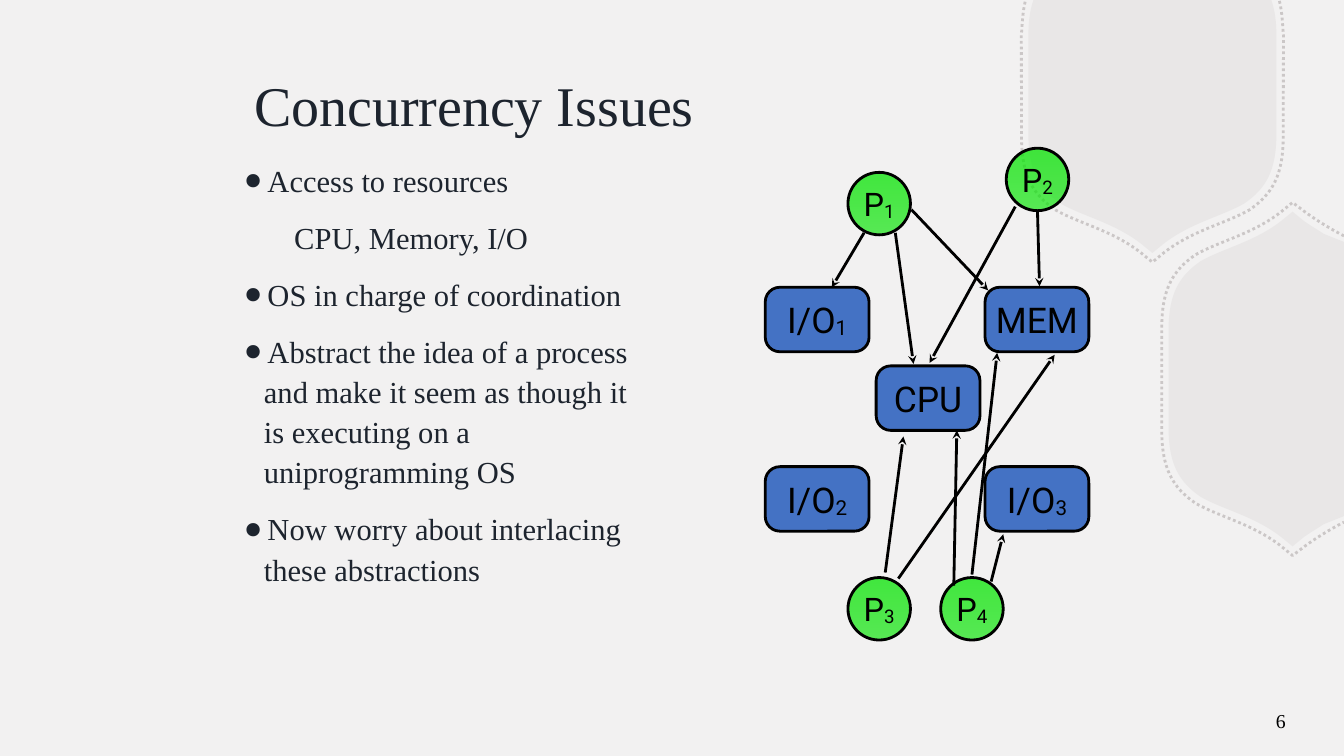
from typing import NamedTuple

from lxml.etree import SubElement
from pptx import Presentation
from pptx.dml.color import RGBColor
from pptx.enum.dml import MSO_LINE
from pptx.enum.shapes import MSO_CONNECTOR, MSO_SHAPE
from pptx.enum.text import MSO_ANCHOR, MSO_AUTO_SIZE, PP_ALIGN
from pptx.oxml.ns import qn
from pptx.util import Cm, Pt

PAPER = RGBColor(0xF2, 0xF1, 0xF1)
INK = RGBColor(0x1D, 0x24, 0x2E)
BLACK = RGBColor(0, 0, 0)
BLUE = RGBColor(0x44, 0x72, 0xC4)
GREEN = RGBColor(0x05, 0xE5, 0x00)
HONEY = RGBColor(0xB8, 0xB2, 0xB2)
SERIF, SANS = "Times New Roman", "Roboto"


class NodeStyle(NamedTuple):
    shape: MSO_SHAPE
    width: float
    height: float
    size: float


class Node(NamedTuple):
    style: NodeStyle
    name: str
    index: str
    left: float
    top: float


class Bullet(NamedTuple):
    text: str
    marked: bool = True


class Knot(NamedTuple):
    """Outline point, relative to a hexagon's centre."""
    x: float
    y: float
    control: bool = False


RESOURCE = NodeStyle(MSO_SHAPE.ROUNDED_RECTANGLE, 1.03, 0.64, 25.3)
PROCESS = NodeStyle(MSO_SHAPE.OVAL, 0.62, 0.62, 23.2)
NODES = [
    Node(RESOURCE, "CPU", "", 8.69, 3.63),
    Node(RESOURCE, "MEM", "", 9.77, 2.85),
    Node(RESOURCE, "I/O", "2", 7.59, 4.63),
    Node(RESOURCE, "I/O", "3", 9.77, 4.63),
    Node(RESOURCE, "I/O", "1", 7.59, 2.85),
    Node(PROCESS, "P", "1", 8.41, 1.71),
    Node(PROCESS, "P", "2", 9.98, 1.47),
    Node(PROCESS, "P", "3", 8.41, 5.73),
    Node(PROCESS, "P", "4", 9.33, 5.73),
]
# Tip x, tip y, tail x, tail y
ARROWS = [
    (8.25, 2.85, 8.57, 2.31), (9.06, 3.61, 8.88, 2.31),
    (9.8, 2.88, 9.04, 2.08), (9.22, 3.6, 10.07, 2.05),
    (10.31, 2.84, 10.29, 2.09), (9.95, 5.3, 9.83, 5.77),
    (9.49, 4.27, 9.46, 5.81), (8.96, 4.33, 8.78, 5.68),
    (9.89, 3.5, 9.64, 5.7), (10.46, 3.52, 8.91, 5.74),
]
BULLETS = [
    Bullet("Access to resources"),
    Bullet("CPU, Memory, I/O", marked=False),
    Bullet("OS in charge of coordination"),
    Bullet("Abstract the idea of a process and make it seem as though it "
           "is executing on a uniprogramming OS"),
    Bullet("Now worry about interlacing these abstractions"),
]
# Lower right quarter of a hexagon, from its side to its tip
QUARTER = [
    Knot(1.23, 0.48), Knot(1.23, 0.84, True), Knot(1.13, 1.02, True),
    Knot(0.91, 1.17), Knot(0.68, 1.3, True), Knot(0.38, 1.36, True),
    Knot(0.11, 1.57), Knot(0, 1.66),
]
# Where the slide's edge cuts the upper and the right hexagon
UPPER_CUT = [Knot(1.18, -0.85), Knot(1.22, -0.73, True),
             Knot(1.23, -0.62, True), Knot(1.23, -0.49)]
RIGHT_CUT = [Knot(0.51, -1.36), Knot(0.31, -1.44), Knot(0.25, -1.48, True),
             Knot(0.18, -1.52, True), Knot(0.11, -1.57)]
UPPER_DOTTED_CUT = [Knot(1.26, -0.84), Knot(1.29, -0.72, True),
                    Knot(1.29, -0.6, True), Knot(1.3, -0.5)]
RIGHT_DOTTED_CUT = [Knot(0.51, -1.42), Knot(0.37, -1.49, True),
                    Knot(0.2, -1.6, True), Knot(0.12, -1.66)]


def inches(value: float) -> Cm:
    return Cm(value * 2.54)


def frame(*values: float) -> list[Cm]:
    return [inches(value) for value in values]


def set_opacity(shape, *percents: int) -> None:
    for color, percent in zip(shape.element.iter(qn("a:srgbClr")), percents):
        SubElement(color, qn("a:alpha"), val=str(percent * 1000))


def style_font(font, face: str, size: float, color: RGBColor) -> None:
    font.name, font.size, font.color.rgb = face, Pt(size), color


def flip(knots: list[Knot], across: int, down: int, scale: float = 1) -> list[Knot]:
    return [Knot(x * across * scale, y * down * scale, c) for x, y, c in knots]


def draw_hexagon(page, upper: bool, dotted: bool) -> None:
    scale = 1.055 if dotted else 1
    if upper:
        center_x, center_y = 11.43, 0.85
        half = (UPPER_DOTTED_CUT if dotted else UPPER_CUT) + flip(QUARTER, 1, 1, scale)
        knots = half + flip(half, -1, 1)[-2::-1]
    else:
        center_x, center_y = 12.82, 3.76
        half = (RIGHT_DOTTED_CUT if dotted else RIGHT_CUT) + flip(QUARTER, -1, -1, scale)[::-1]
        knots = half + flip(half, 1, -1)[::-1]
    points = [frame(center_x + knot.x, center_y + knot.y) for knot in knots]
    builder = page.shapes.build_freeform(*points[0])
    builder.add_line_segments(points[1:], close=not dotted)
    shape = builder.convert_to_shape()
    bend_lines(shape, knots)
    shape.shadow.inherit = False
    if dotted:
        shape.fill.background()
        shape.line.color.rgb = HONEY
        shape.line.width = Pt(2)
        shape.line.dash_style = MSO_LINE.ROUND_DOT
    else:
        shape.fill.solid()
        shape.fill.fore_color.rgb = HONEY
        shape.line.fill.background()
    set_opacity(shape, 65 if dotted else 15)


def bend_lines(shape, knots: list[Knot]) -> None:
    """Merge each pair of control points and its end point into one curve."""
    lines = list(shape.element.iter(qn("a:lnTo")))
    for i in range(len(lines) - 2):
        if knots[i + 1].control and not knots[i].control:
            lines[i].tag = qn("a:cubicBezTo")
            for line in lines[i + 1:i + 3]:
                lines[i].append(line[0])
                line.getparent().remove(line)


def draw_title(page) -> None:
    title = page.shapes.title
    page.shapes.element.append(title.element)
    title.left, title.top, title.width, title.height = frame(2.42, 0.41, 8.5, 1.25)
    title.text_frame.text = "Concurrency Issues"
    title.text_frame.auto_size = MSO_AUTO_SIZE.NONE
    title.text_frame.vertical_anchor = MSO_ANCHOR.MIDDLE
    para = title.text_frame.paragraphs[0]
    para.alignment = PP_ALIGN.LEFT
    style_font(para.runs[0].font, SERIF, 40, INK)


def draw_bullets(page) -> None:
    text = page.shapes.add_textbox(*frame(2.27, 1.52, 4.16, 5.14)).text_frame
    text.word_wrap = True
    text.text = "\n".join(bullet.text for bullet in BULLETS)
    for number, (bullet, para) in enumerate(zip(BULLETS, text.paragraphs)):
        para.level = 0 if bullet.marked else 1
        para.line_spacing = 1.1
        para.space_before = Pt(11.9 if number else 10)
        style_font(para.runs[0].font, SERIF, 21.8, INK)
        properties = para._p.get_or_add_pPr()
        margin, indent = (0.25, -0.25) if bullet.marked else (0.55, 0)
        properties.set("marL", str(inches(margin)))
        properties.set("indent", str(inches(indent)))
        if bullet.marked:
            SubElement(properties, qn("a:buSzPct"), val="150000")
            SubElement(properties, qn("a:buFont"), typeface=SANS)
            SubElement(properties, qn("a:buChar"), char="∙")


def draw_node(page, node: Node) -> None:
    style = node.style
    shape = page.shapes.add_shape(
        style.shape, *frame(node.left, node.top, style.width, style.height))
    shape.shadow.inherit = False
    if style is PROCESS:
        shape.fill.gradient()
        shape.fill.gradient_angle = 270
        for stop in shape.fill.gradient_stops:
            stop.color.rgb = GREEN
        set_opacity(shape, 75, 65)
    else:
        shape.adjustments[0] = 0.227
        shape.fill.solid()
        shape.fill.fore_color.rgb = BLUE
    shape.line.color.rgb = BLACK
    shape.line.width = Pt(2)
    text = shape.text_frame
    text.margin_left = text.margin_right = text.margin_top = text.margin_bottom = 0
    text.vertical_anchor = MSO_ANCHOR.MIDDLE
    para = text.paragraphs[0]
    para.alignment = PP_ALIGN.CENTER
    for part in filter(None, (node.name, node.index)):
        span = para.add_run()
        span.text = part
        style_font(span.font, SANS, style.size, BLACK)
    if node.index:
        span._r.get_or_add_rPr().set("baseline", "-6000")


def draw_arrow(page, ends: tuple[float, ...]) -> None:
    arrow = page.shapes.add_connector(MSO_CONNECTOR.STRAIGHT, *frame(*ends))
    arrow.line.color.rgb = BLACK
    arrow.line.width = Pt(2)
    properties = arrow.element.spPr
    SubElement(properties.find(qn("a:ln")), qn("a:headEnd"), type="stealth")
    SubElement(properties, qn("a:effectLst"))


def draw_page_number(page) -> None:
    text = page.shapes.add_textbox(*frame(12.29, 6.95, 0.56, 0.4)).text_frame
    text.word_wrap = True
    text.vertical_anchor = MSO_ANCHOR.MIDDLE
    text.text = "6"
    text.paragraphs[0].alignment = PP_ALIGN.RIGHT
    style_font(text.paragraphs[0].runs[0].font, SERIF, 14.1, BLACK)


def main() -> None:
    deck = Presentation()
    deck.slide_width, deck.slide_height = frame(13.33, 7.5)
    page = deck.slides.add_slide(deck.slide_layouts.get_by_name("Title Only"))
    page.background.fill.solid()
    page.background.fill.fore_color.rgb = PAPER
    for dotted in (False, True):
        for upper in (True, False):
            draw_hexagon(page, upper, dotted)
    draw_title(page)
    draw_bullets(page)
    for node in NODES:
        draw_node(page, node)
    for ends in ARROWS:
        draw_arrow(page, ends)
    draw_page_number(page)
    deck.save("out.pptx")


if __name__ == "__main__":
    main()
